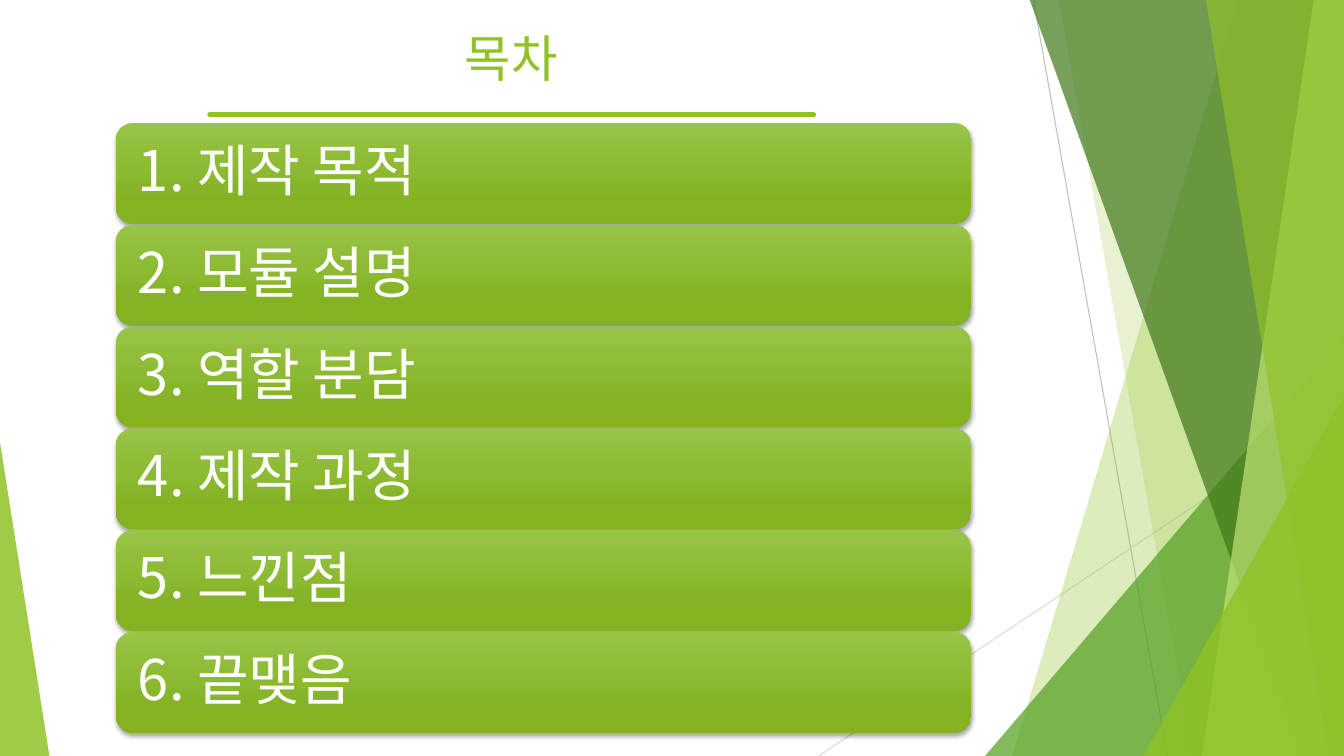
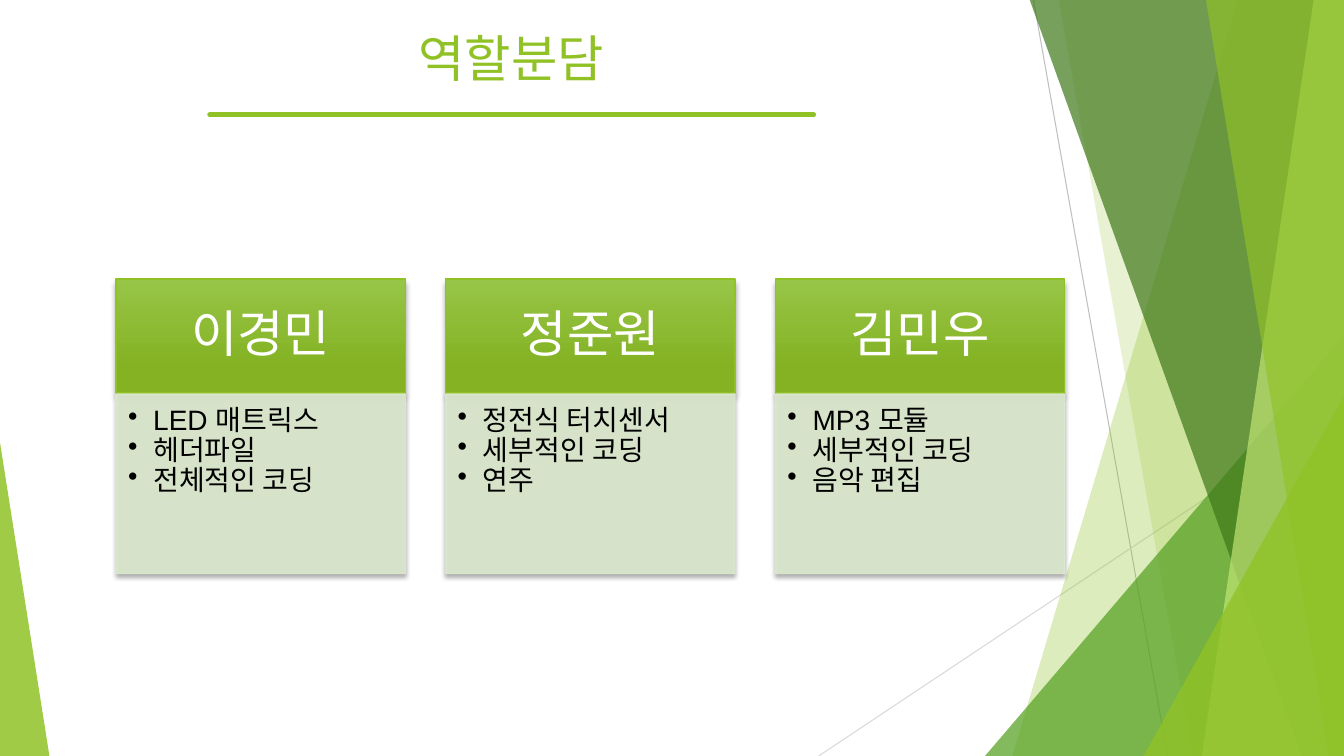
from lxml.etree import SubElement
from pptx import Presentation
from pptx.dml.color import RGBColor
from pptx.enum.shapes import MSO_CONNECTOR as Connector, MSO_SHAPE as Preset
from pptx.enum.text import MSO_ANCHOR as Anchor, PP_ALIGN as Align
from pptx.oxml.ns import qn
from pptx.util import Pt

# Scale: 100 px to the inch
EMU_PER_PX = 9144
WIDTH, HEIGHT = 1333, 750

# Style
GREEN = RGBColor(0x90, 0xC2, 0x26)
GREEN_LEAF = RGBColor(0x54, 0xA0, 0x21)
GREEN_DARK = RGBColor(0x3F, 0x78, 0x19)
GREEN_LIGHT = RGBColor(0xC0, 0xE4, 0x74)
GRADIENT_TOP = RGBColor(0x97, 0xC5, 0x47)
GRADIENT_BOTTOM = RGBColor(0x84, 0xB2, 0x23)
CARD_FILL = RGBColor(0xDB, 0xE9, 0xCD)
GRAY = RGBColor(0xBF, 0xBF, 0xBF)
GRAY_LIGHT = RGBColor(0xD9, 0xD9, 0xD9)
WHITE = RGBColor(0xFF, 0xFF, 0xFF)
BLACK = RGBColor(0x00, 0x00, 0x00)
KOREAN_FONT = "Noto Sans CJK KR"
LATIN_FONT = "Arial"

# Facets: top left x, bottom left x, colour, opacity; all reach the right edge
FACETS_BACK = [(1228, 1004, GREEN, 30), (1050, 1183, GREEN, 20)]
FACETS_FRONT = [
    (1021, 1291, GREEN_DARK, 70),
    (1303, 1192, GREEN_LIGHT, 70),
    (1196, 1318, GREEN, 65),
]

# Content
AGENDA = ["제작 목적", "모듈 설명", "역할 분담", "제작 과정", "느낀점", "끝맺음"]
ROLES = {
    "이경민": ["LED 매트릭스", "헤더파일", "전체적인 코딩"],
    "정준원": ["정전식 터치센서", "세부적인 코딩", "연주"],
    "김민우": ["MP3 모듈", "세부적인 코딩", "음악 편집"],
}


def px(*lengths):
    return [length * EMU_PER_PX for length in lengths]


def apply(target, values):
    for name, value in values.items():
        setattr(target, name, value)


class Deck:
    def __init__(self):
        self.presentation = Presentation()
        size = px(WIDTH, HEIGHT)
        apply(self.presentation, dict(zip(("slide_width", "slide_height"), size)))
        self.layout = self.presentation.slide_layouts[5]
        self.slide = None

    def new_slide(self, title):
        first = self.slide is None
        self.slide = self.presentation.slides.add_slide(self.layout)
        if first:
            self.decorate_layout()
        shape = self.slide.shapes.title
        apply(shape, dict(zip(("left", "top", "width", "height"), px(0, 0, 1014, 114))))
        self.add_text(shape, [title], 36, GREEN, KOREAN_FONT,
                      {"alignment": Align.CENTER})

    def decorate_layout(self):
        """Draw the shared background and move it to the layout."""
        tree = self.slide.shapes.element
        count_before = len(tree)
        self.line((1025, 0), (1158, 750), GRAY, 0.75)
        self.line((1333, 403), (812, 750), GRAY_LIGHT, 0.75)
        for facet in FACETS_BACK:
            self.facet(*facet)
        self.triangle((977, 333, 356, 417), 1, GREEN_LEAF, 72)
        for facet in FACETS_FRONT:
            self.facet(*facet)
        self.triangle((1134, 393, 199, 357), 1, GREEN, 80)
        self.triangle((0, 439, 49, 311), 0, GREEN, 85)
        self.line((208, 114), (807, 114), GREEN, 3.5)
        for index, element in enumerate(list(tree)[count_before:]):
            next(element.iter(qn("p:cNvPr"))).set("id", str(100 + index))
            self.layout.shapes.element.insert(2 + index, element)

    def line(self, start, end, color, weight):
        connector = self.slide.shapes.add_connector(
            Connector.STRAIGHT, *px(*start, *end))
        connector.line.width = Pt(weight)
        connector.line.color.rgb = color
        properties = connector.element.spPr
        properties.find(qn("a:ln")).set("cap", "rnd")
        SubElement(properties, qn("a:effectLst"))

    def paint(self, shape, color, opacity, outline=None):
        shape.shadow.inherit = False
        shape.fill.solid()
        shape.fill.fore_color.rgb = color
        self.outline(shape, outline)
        for element in shape.element.spPr.iter(qn("a:srgbClr")):
            SubElement(element, qn("a:alpha"), val=str(opacity * 1000))

    def paint_gradient(self, shape, outline=None):
        shape.shadow.inherit = False
        shape.fill.gradient()
        shape.fill.gradient_angle = 270
        stops = zip(shape.fill.gradient_stops,
                    [(0, GRADIENT_TOP), (0.78, GRADIENT_BOTTOM)])
        for stop, (position, color) in stops:
            stop.position = position
            stop.color.rgb = color
        self.outline(shape, outline)

    def outline(self, shape, color):
        if color is None:
            shape.line.fill.background()
        else:
            shape.line.color.rgb = color
            shape.line.width = Pt(1)

    def cast_shadow(self, shape, blur, distance):
        effects = shape.element.spPr.find(qn("a:effectLst"))
        shadow = SubElement(effects, qn("a:outerShdw"), blurRad=str(Pt(blur)),
                            dist=str(Pt(distance)), dir="5400000", rotWithShape="0")
        color = SubElement(shadow, qn("a:srgbClr"), val=str(BLACK))
        SubElement(color, qn("a:alpha"), val="35000")

    def facet(self, top_x, bottom_x, color, opacity):
        builder = self.slide.shapes.build_freeform(top_x, -1, scale=EMU_PER_PX)
        builder.add_line_segments([(WIDTH, -1), (WIDTH, HEIGHT), (bottom_x, HEIGHT)])
        self.paint(builder.convert_to_shape(), color, opacity)

    def triangle(self, box, apex, color, opacity):
        shape = self.slide.shapes.add_shape(Preset.ISOSCELES_TRIANGLE, *px(*box))
        shape.adjustments[0] = apex
        self.paint(shape, color, opacity)

    def add_text(self, shape, lines, size, color, font, paragraph_format,
                 insets=(10, 5, 10, 5), anchor=Anchor.MIDDLE, bullet=False):
        frame = shape.text_frame
        sides = ("margin_left", "margin_top", "margin_right", "margin_bottom")
        apply(frame, {"word_wrap": True, "vertical_anchor": anchor,
                      **dict(zip(sides, px(*insets)))})
        for index, text in enumerate(lines):
            paragraph = frame.paragraphs[0] if index == 0 else frame.add_paragraph()
            apply(paragraph, paragraph_format)
            if bullet:
                self.add_bullet(paragraph)
            run = paragraph.add_run()
            run.text = text
            apply(run.font, {"size": Pt(size), "name": font})
            run.font.color.rgb = color
            SubElement(run._r.get_or_add_rPr(), qn("a:ea"), typeface=KOREAN_FONT)

    def add_bullet(self, paragraph):
        properties = paragraph._p.get_or_add_pPr()
        indent, = px(25)
        properties.set("marL", str(indent))
        properties.set("indent", str(-indent))
        SubElement(properties, qn("a:buChar"), char="•")

    def agenda_bar(self, box, text):
        shape = self.slide.shapes.add_shape(Preset.ROUNDED_RECTANGLE, *px(*box))
        self.paint_gradient(shape)
        self.cast_shadow(shape, 3, 2)
        self.add_text(shape, [text], 40, WHITE, KOREAN_FONT,
                      {"alignment": Align.LEFT, "line_spacing": 0.9},
                      insets=(17, 17, 17, 17))

    def role_card(self, left, name, tasks):
        header = self.slide.shapes.add_shape(Preset.RECTANGLE, *px(left, 277, 287, 113))
        self.paint_gradient(header, GREEN)
        self.cast_shadow(header, 4, 3)
        self.add_text(header, [name], 36, WHITE, LATIN_FONT,
                      {"alignment": Align.CENTER, "line_spacing": 0.9},
                      insets=(28, 16, 28, 16))
        body = self.slide.shapes.add_shape(Preset.RECTANGLE, *px(left, 391, 287, 178))
        self.paint(body, CARD_FILL, 90, CARD_FILL)
        self.cast_shadow(body, 3, 2)
        self.add_text(body, tasks, 20, BLACK, LATIN_FONT,
                      {"alignment": Align.LEFT, "level": 1, "line_spacing": 0.9},
                      insets=(12, 12, 16, 17), anchor=Anchor.TOP, bullet=True)


def main():
    deck = Deck()

    # Agenda
    deck.new_slide("목차")
    for index, topic in enumerate(AGENDA):
        deck.agenda_bar((115, 122 + index * 101, 848, 100), f"{index + 1}. {topic}")

    # Roles
    deck.new_slide("역할분담")
    for index, (name, tasks) in enumerate(ROLES.items()):
        deck.role_card(115 + index * 327, name, tasks)

    deck.presentation.save("out.pptx")


if __name__ == "__main__":
    main()
